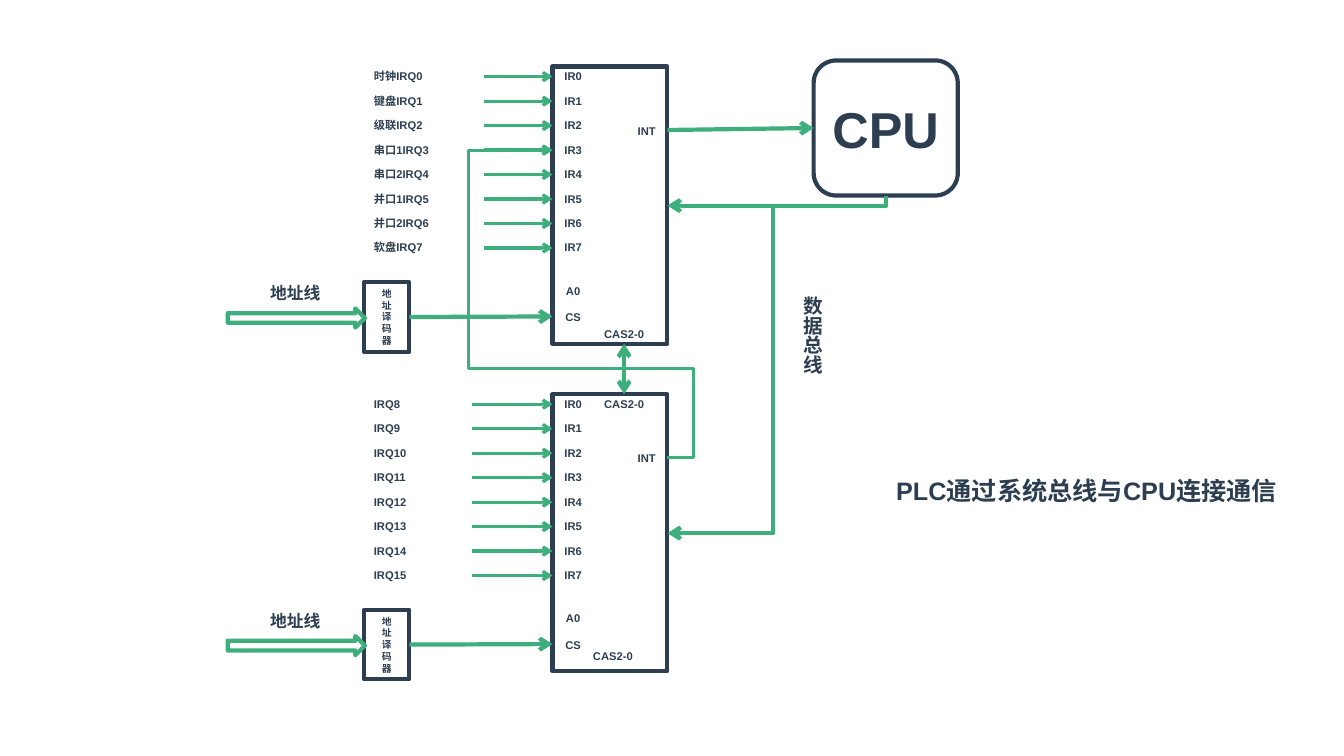
from dataclasses import dataclass

from lxml.etree import SubElement
from pptx import Presentation
from pptx.dml.color import RGBColor
from pptx.enum.shapes import MSO_CONNECTOR, MSO_SHAPE
from pptx.enum.text import MSO_ANCHOR, PP_ALIGN
from pptx.oxml.ns import qn
from pptx.util import Inches, Pt

RECT, ROUND, ARROW = MSO_SHAPE.RECTANGLE, MSO_SHAPE.ROUNDED_RECTANGLE, MSO_SHAPE.RIGHT_ARROW
STRAIGHT, ELBOW = MSO_CONNECTOR.STRAIGHT, MSO_CONNECTOR.ELBOW
LEFT, CENTER = PP_ALIGN.LEFT, PP_ALIGN.CENTER
TOP, MIDDLE = MSO_ANCHOR.TOP, MSO_ANCHOR.MIDDLE


@dataclass(frozen=True)
class Theme:
    """Colours, font, type sizes and line widths."""
    ink: RGBColor = RGBColor(0x2C, 0x3E, 0x50)
    green: RGBColor = RGBColor(0x3E, 0xAF, 0x7C)
    font: str = "Arial"
    tiny: int = 7
    pin: int = 8
    label: int = 12
    bus: int = 14
    title: int = 18
    cpu: int = 36
    thin: float = 2.25
    thick: float = 3


THEME = Theme()
STEP = 1.7 / 7
MAIN = ["时钟IRQ0", "键盘IRQ1", "级联IRQ2", "串口1IRQ3",
        "串口2IRQ4", "并口1IRQ5", "并口2IRQ6", "软盘IRQ7"]
SLAVE = [f"IRQ{n}" for n in range(8, 16)]


def write(shape, text, size=THEME.pin, align=LEFT, anchor=MIDDLE, wrap=True, side=0.1):
    """Put bold text into a shape."""
    frame = shape.text_frame
    frame.text = text
    frame.word_wrap = wrap
    frame.vertical_anchor = anchor
    frame.margin_left = frame.margin_right = Inches(side)
    for par in frame.paragraphs:
        par.alignment = align
        font = par.font
        font.name, font.size, font.bold = THEME.font, Pt(size), True
        font.color.rgb = THEME.ink


def add_text(slide, box, text, **form):
    """Add a text box."""
    shape = slide.shapes.add_textbox(*map(Inches, box))
    write(shape, text, **form)
    return shape


def add_block(slide, kind, box, color=THEME.ink):
    """Add an outlined shape with no fill."""
    shape = slide.shapes.add_shape(kind, *map(Inches, box))
    shape.shadow.inherit = False
    shape.fill.background()
    shape.line.color.rgb = color
    shape.line.width = Pt(THEME.thick)
    return shape


def add_line(slide, start, end, width=THEME.thick, both=False, kind=STRAIGHT):
    """Add a green line with an arrowhead at its end, or at both ends."""
    line = slide.shapes.add_connector(kind, *map(Inches, (*start, *end)))
    line.line.color.rgb = THEME.green
    line.line.width = Pt(width)
    props = line.element.spPr
    stroke = props.find(qn("a:ln"))
    for tip in ("headEnd", "tailEnd") if both else ("tailEnd",):
        SubElement(stroke, qn(f"a:{tip}"), type="arrow")
    SubElement(props, qn("a:effectLst"))
    return line


def bend(line, preset, *values):
    """Give an elbow line its preset and its bend positions."""
    shape = line.element.spPr.find(qn("a:prstGeom"))
    shape.set("prst", preset)
    guides = shape.find(qn("a:avLst"))
    for num, value in enumerate(values, 1):
        SubElement(guides, qn("a:gd"), name=f"adj{num}", fmla=f"val {value}")


def add_turn(slide, start, end):
    """Add a line that runs down and then left, as a corner turned by 90 degrees."""
    (left, top), (right, low) = (end[0], start[1]), (start[0], end[1])
    mid_x, mid_y = (left + right) / 2, (top + low) / 2
    half_w, half_h = (low - top) / 2, (right - left) / 2
    line = add_line(slide, (mid_x - half_w, mid_y - half_h),
                    (mid_x + half_w, mid_y + half_h), kind=ELBOW)
    bend(line, "bentConnector2")
    line.element.spPr.find(qn("a:xfrm")).set("rot", "5400000")


def add_chip(slide, top, names, start, cas):
    """Add a chip with its pins, inputs and address decoder."""
    add_block(slide, RECT, (5.48, top, 1.14, 2.75))
    coder = add_block(slide, RECT, (3.61, top + 2.14, 0.45, 0.69))
    write(coder, "\n".join("地址译码器"), size=THEME.tiny, align=CENTER)
    add_block(slide, ARROW, (2.26, top + 2.4, 1.36, 0.19), THEME.green)
    add_text(slide, (2.58, top + 2.1, 0.7, 0.3), "地址线",
             size=THEME.label, anchor=TOP, wrap=False)
    pins = [(5.48, 2.13, 0.41, "A0"), (5.48, 2.39, 0.41, "CS"), (6.21, 0.54, 0.41, "INT")]
    pins += [(left, drop, 0.6, "CAS2-0") for left, drop in cas]
    for row, name in enumerate(names):
        drop = row * STEP
        pins.append((5.48, drop, 0.41, f"IR{row}"))
        add_text(slide, (3.61, top + drop, 0.94, 0.19), name)
        level = top + drop + 0.1
        add_line(slide, (start, level), (5.48, level), THEME.thin)
    for left, drop, width, name in pins:
        add_text(slide, (left, top + drop, width, 0.19), name, align=CENTER, side=0)
    pick = add_line(slide, (4.06, top + 2.49), (5.48, top + 2.48))
    pick.begin_connect(coder, 3)


def main():
    """Build the slide and save it."""
    deck = Presentation()
    deck.slide_width, deck.slide_height = Inches(13.33), Inches(7.5)
    slide = deck.slides.add_slide(deck.slide_layouts[6])
    cpu = add_block(slide, ROUND, (8.07, 0.6, 1.43, 1.34))
    write(cpu, "CPU", size=THEME.cpu, align=CENTER)
    add_chip(slide, 0.66, MAIN, 4.8, [(5.89, 2.56)])
    add_chip(slide, 3.91, SLAVE, 4.68, [(5.89, 0), (5.78, 2.5)])
    signal = add_line(slide, (6.62, 1.29), (8.07, 1.27))
    signal.end_connect(cpu, 1)
    chain = add_line(slide, (6.62, 4.54), (5.48, 1.49), THEME.thin, kind=ELBOW)
    bend(chain, "bentConnector5", -22800, 28900, 173100)
    add_line(slide, (6.19, 3.41), (6.19, 3.91), both=True)
    add_turn(slide, (8.79, 1.94), (6.62, 2.04))
    add_turn(slide, (7.67, 2.03), (6.62, 5.29))
    bus = add_text(slide, (7.79, 2.84, 0.44, 0.93), "数据总线",
                   size=THEME.bus, anchor=TOP, wrap=False)
    bus.text_frame._txBody.find(qn("a:bodyPr")).set("vert", "eaVert")
    add_text(slide, (8.79, 4.67, 3.98, 0.4), "PLC通过系统总线与CPU连接通信",
             size=THEME.title, anchor=TOP)
    deck.save("out.pptx")


if __name__ == "__main__":
    main()
